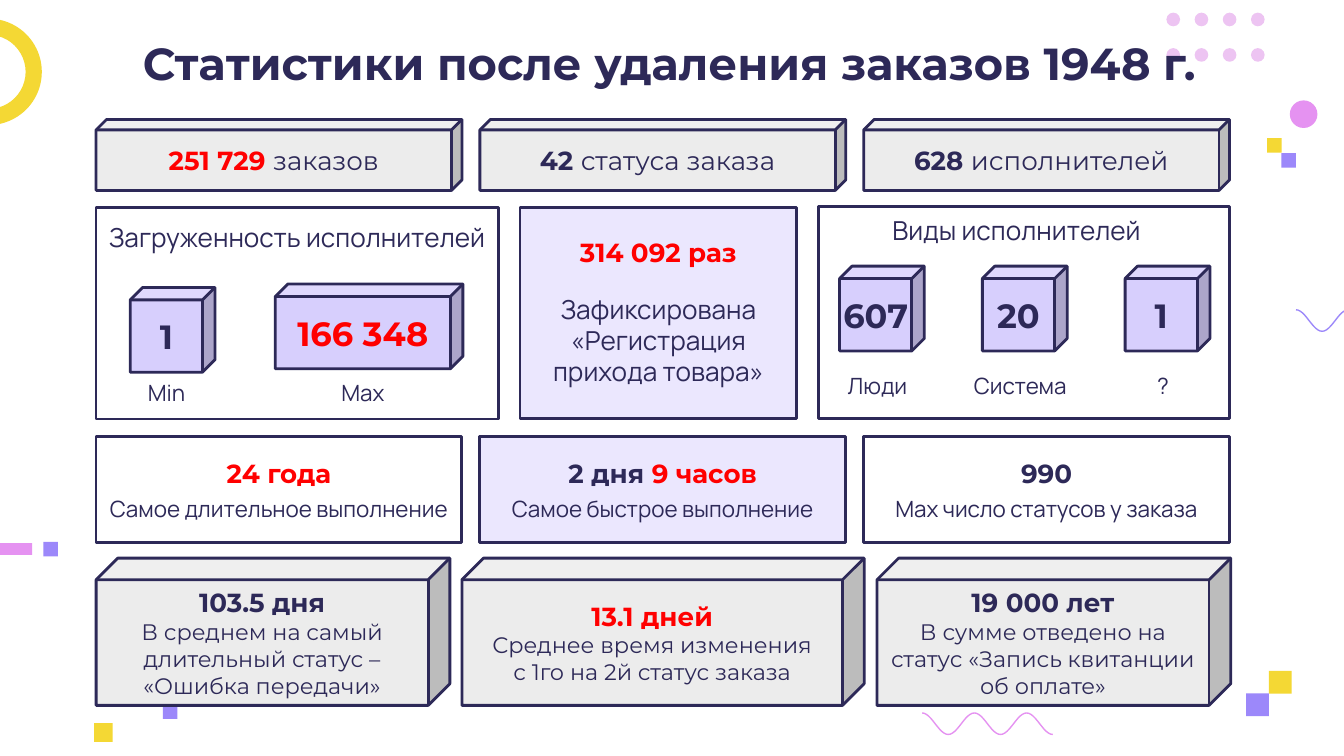
from math import cos, pi

from lxml.etree import SubElement
from pptx import Presentation
from pptx.dml.color import RGBColor as Rgb
from pptx.enum.shapes import MSO_SHAPE as Kind
from pptx.enum.text import MSO_ANCHOR as Anchor, PP_ALIGN as Align
from pptx.oxml.ns import qn
from pptx.util import Pt

HUES = {
    "ink": "2D2958", "red": "FF0000", "grey": "ECECEC", "pale": "EBE7FE",
    "lilac": "D7CFFD", "gold": "F4D834", "pink": "E592F1", "blush": "EDC4F2",
    "violet": "9C88FA",
}
HEAD, BODY = "Montserrat", "Manrope"


def hue(name):
    """Return the named colour."""
    return Rgb.from_string(HUES[name])


def write(shape, *lines, pad=0, **base):
    """Fill a shape with centred lines, each a list of (text, format) runs."""
    frame = shape.text_frame
    frame.word_wrap = True
    frame.vertical_anchor = Anchor.MIDDLE
    frame.margin_left = frame.margin_right = Pt(pad)
    frame.margin_top = frame.margin_bottom = Pt(pad)
    for i, line in enumerate(lines):
        para = frame.add_paragraph() if i else frame.paragraphs[0]
        para.alignment = Align.CENTER
        for text, own in line:
            look = {"font": HEAD, "size": 14, "color": "ink", "bold": False, **base, **own}
            for j, part in enumerate(text.split("\n")):
                if j:
                    para.add_line_break()
                run = para.add_run()
                run.text = part
                run.font.name = look["font"]
                run.font.size = Pt(look["size"])
                run.font.bold = look["bold"]
                run.font.color.rgb = hue(look["color"])


def form(slide, kind, box, fill=None, edge="ink"):
    """Add a preset shape with an optional fill and outline."""
    shape = slide.shapes.add_shape(kind, *map(Pt, box))
    shape.shadow.inherit = False
    if fill:
        shape.fill.solid()
        shape.fill.fore_color.rgb = hue(fill)
    else:
        shape.fill.background()
    if edge:
        shape.line.color.rgb = hue(edge)
        shape.line.width = Pt(1.5)
        SubElement(shape.line._get_or_add_ln(), qn("a:round"))
    else:
        shape.line.fill.background()
    return shape


def cube(slide, box, fill, *lines, **look):
    """Add a cube with text on its front."""
    shape = form(slide, Kind.CUBE, box, fill)
    shape.adjustments[0] = 0.147
    write(shape, *lines, **look)


def label(slide, box, text, **look):
    """Add a text box holding one line."""
    write(slide.shapes.add_textbox(*map(Pt, box)), [(text, {})], **look)


def wave(slide, x, y, color):
    """Draw a thin wave of two and a half periods."""
    wide, high, steps = 70, 11.5, 60
    dots = [
        (Pt(x + wide * i / steps), Pt(y + high * (1 - cos(5 * pi * i / steps)) / 2))
        for i in range(steps + 1)
    ]
    path = slide.shapes.build_freeform(*dots[0])
    path.add_line_segments(dots[1:], close=False)
    shape = path.convert_to_shape()
    shape.shadow.inherit = False
    shape.fill.background()
    shape.line.color.rgb = hue(color)
    shape.line.width = Pt(0.75)


def decor(slide):
    """Scatter the ring, dots, squares and waves round the edges."""
    ring = form(slide, Kind.DONUT, (-34.6, 10, 57, 57), "gold", None)
    ring.adjustments[0] = 0.152
    form(slide, Kind.RECTANGLE, (-45, 291, 62.3, 6.3), "pink", None)
    for col in range(4):
        for row in range(2):
            form(slide, Kind.OVAL, (624.9 + 15.1 * col, 6.8 + 19 * row, 7.3, 7.3), "blush", None)
    form(slide, Kind.OVAL, (691, 53.8, 14.8, 14.8), "pink", None)
    for x, y, side, color in (
        (23.3, 290.3, 7.8, "violet"), (50.4, 387.4, 10, "gold"),
        (87.3, 377.4, 7.8, "violet"), (679.8, 359.5, 12.2, "gold"),
        (667.6, 371.5, 12.2, "violet"), (686.4, 82, 7.8, "violet"),
        (678.8, 74, 7.8, "gold"),
    ):
        form(slide, Kind.RECTANGLE, (x, y, side, side), color, None)
    wave(slide, 694.3, 166, "violet")
    wave(slide, 494, 382, "pink")


def header(slide, box, text):
    """Set the title in front of the decoration."""
    title = slide.shapes.title
    title.left, title.top, title.width, title.height = map(Pt, box)
    write(title, [(text, {})], pad=7.2, size=24, bold=True)
    title.element.getparent().append(title.element)


def totals(slide, x, y, wide, high):
    """Place the three total cubes in a row."""
    bits = (("251 729 ", "заказов", "red"), ("42 ", "статуса заказа", "ink"),
            ("628 ", "исполнителей", "ink"))
    for i, (count, noun, color) in enumerate(bits):
        cube(slide, (x + 205.6 * i, y, wide, high), "grey",
             [(count, {"color": color, "bold": True}), (noun, {})], pad=7.2)


def group(slide, box, text, top, shift, items):
    """Frame a heading and its captioned cubes."""
    x, y, wide, high = box
    form(slide, Kind.RECTANGLE, box)
    label(slide, (x + shift, y + top, wide, 21.6), text, font=BODY)
    for dx, dy, span, mid, drop, num, name, color in items:
        cube(slide, (x + dx, y + dy, span, 45.4), "lilac", [(num, {})],
             size=18, bold=True, color=color)
        label(slide, (x + mid - 26, y + drop, 52, 21.6), name, font=BODY, size=12)


def arrival(slide, x, y, wide, high):
    """Place the middle panel on goods arrival."""
    form(slide, Kind.RECTANGLE, (x, y, wide, high), "pale")
    label(slide, (x, y + 13, wide, 21.6), "314 092 раз", color="red", bold=True)
    label(slide, (x + 8.6, y + 41, wide - 17, 60.5),
          "Зафиксирована «Регистрация прихода товара»", font=BODY)


def records(slide, x, y, wide, high):
    """Place the three record panels in a row."""
    bits = (
        ([("24 года", {"color": "red"})], "Самое длительное выполнение", None),
        ([("2 дня ", {}), ("9 часов", {"color": "red"})], "Самое быстрое выполнение", "pale"),
        ([("990", {})], "Max число статусов у заказа", None),
    )
    for i, (runs, note, fill) in enumerate(bits):
        left = x + 205.6 * i
        form(slide, Kind.RECTANGLE, (left, y, wide, high), fill)
        area = slide.shapes.add_textbox(Pt(left), Pt(y + 8.6), Pt(wide), Pt(21.6))
        write(area, runs, bold=True)
        label(slide, (left, y + 29.5, wide, 18), note, font=BODY, size=12)


def spans(slide, x, y, high):
    """Place the three duration cubes in a row."""
    bits = (
        (0, 189.5, "103.5 дня", "В среднем на самый длительный статус – «Ошибка передачи»", "ink"),
        (196, 215.5, "13.1 дней", "Среднее время изменения\nс 1го на 2й статус заказа", "red"),
        (418.3, 189.5, "19 000 лет", "В сумме отведено на статус «Запись квитанции об оплате»", "ink"),
    )
    for dx, wide, value, note, color in bits:
        cube(slide, (x + dx, y, wide, high), "grey",
             [(value, {"color": color, "bold": True})], [(note, {"size": 12})], pad=7.2)


def main():
    """Build and save the slide."""
    deck = Presentation()
    deck.slide_width, deck.slide_height = Pt(720), Pt(405)
    slide = deck.slides.add_slide(deck.slide_layouts[5])
    decor(slide)
    header(slide, (58.3, 10.8, 600.5, 45.4), "Статистики после удаления заказов 1948 г.")
    totals(slide, 51.5, 64, 196, 38)
    group(slide, (51.5, 111, 215.5, 113.5), "Загруженность исполнителей", 5, 0, (
        (18.3, 43, 45.4, 37.8, 88.5, "1", "Min", "ink"),
        (96, 41.2, 100.5, 143, 88.5, "166 348", "Max", "red"),
    ))
    arrival(slide, 278.6, 111, 148.2, 113.2)
    group(slide, (438.6, 110.7, 220, 113.5), "Виды исполнителей", 2, -4, [
        (11.2 + 76.5 * i, 31.9, 45.4, 31.5 + 76.5 * i, 85.2, num, name, "ink")
        for i, (num, name) in enumerate((("607", "Люди"), ("20", "Система"), ("1", "?")))
    ])
    records(slide, 51.5, 234, 196, 56.8)
    spans(slide, 51.5, 299, 78.9)
    deck.save("out.pptx")


if __name__ == "__main__":
    main()
